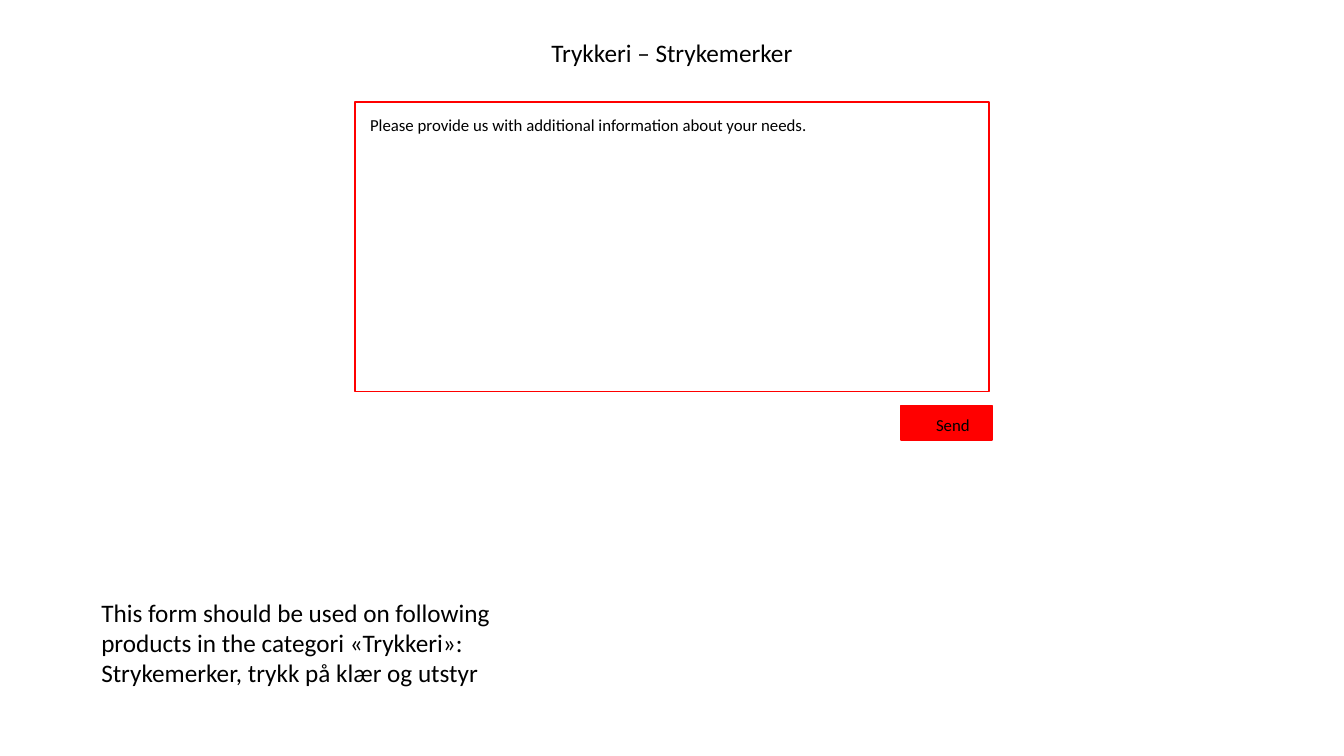
from pptx import Presentation
from pptx.dml.color import RGBColor
from pptx.enum.shapes import MSO_SHAPE
from pptx.enum.text import MSO_AUTO_SIZE, PP_ALIGN
from pptx.util import Emu, Pt

PX = 9525
FONT = "Calibri"
COLORS = {"text": "000000", "field": "FFFFFF", "accent": "FF0000"}


def color(name):
    return RGBColor.from_string(COLORS[name])


def px(*lengths):
    return [Emu(length * PX) for length in lengths]


def add_panel(page, bounds, fill):
    panel = page.shapes.add_shape(MSO_SHAPE.RECTANGLE, *px(*bounds))
    panel.shadow.inherit = False
    panel.fill.solid()
    panel.fill.fore_color.rgb = color(fill)
    panel.line.color.rgb = color("accent")
    panel.line.width = Pt(1)


def add_text(page, bounds, text, size, align=PP_ALIGN.LEFT):
    box = page.shapes.add_textbox(*px(*bounds))
    frame = box.text_frame
    frame.word_wrap = True
    frame.auto_size = MSO_AUTO_SIZE.SHAPE_TO_FIT_TEXT
    para = frame.paragraphs[0]
    para.alignment = align
    span = para.add_run()
    span.text = text
    span.font.name = FONT
    span.font.size = Pt(size)
    span.font.color.rgb = color("text")


def main():
    deck = Presentation()
    deck.slide_width, deck.slide_height = px(1280, 720)
    page = deck.slides.add_slide(deck.slide_layouts[6])

    add_text(page, (0, 31, 1280, 40), "Trykkeri – Strykemerker", 18, PP_ALIGN.CENTER)
    add_panel(page, (338, 97, 604, 276), "field")
    add_text(
        page,
        (343, 105, 591, 29),
        "Please provide us with additional information about your needs.",
        12,
    )
    add_panel(page, (858, 386, 87, 33), "accent")
    add_text(page, (882, 390, 215, 29), "Send", 12)
    add_text(
        page,
        (87, 564, 400, 97),
        "This form should be used on following products in the categori "
        "«Trykkeri»: Strykemerker, trykk på klær og utstyr",
        18,
    )

    deck.save("out.pptx")


if __name__ == "__main__":
    main()
